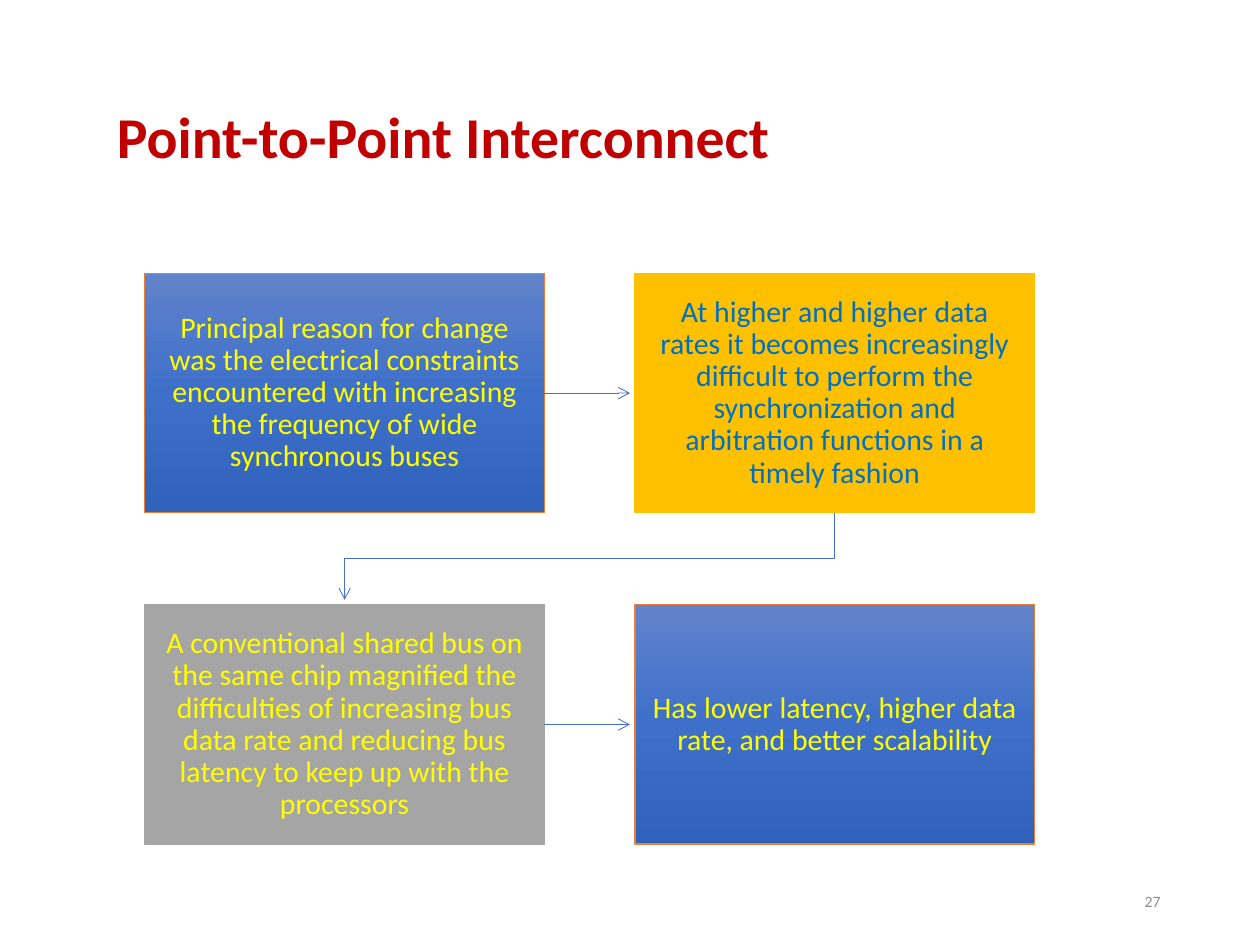
from copy import deepcopy

from pptx import Presentation
from pptx.dml.color import RGBColor
from pptx.enum.shapes import MSO_CONNECTOR, MSO_SHAPE
from pptx.enum.text import MSO_ANCHOR, PP_ALIGN
from pptx.oxml.ns import qn
from pptx.oxml.xmlchemy import OxmlElement
from pptx.util import Inches, Pt

RECT = MSO_SHAPE.RECTANGLE
STRAIGHT = MSO_CONNECTOR.STRAIGHT
MIDDLE = MSO_ANCHOR.MIDDLE
LEFT, CENTER, RIGHT = PP_ALIGN.LEFT, PP_ALIGN.CENTER, PP_ALIGN.RIGHT

FONT = "Calibri"
COLORS = {
    "title": "C00000", "number": "8C8C8C", "arrow": "4472C4",
    "yellow": "FFFF00", "blue": "0070C0", "orange": "ED7D31",
    "gold": "FFC000", "gray": "A5A5A5",
}
GRADIENT = ["6183CB", "3E70CA", "3062BB"]

BOX_W, BOX_H = 3.17, 1.9
COLS, ROWS = [1.15, 5.04], [2.17, 4.8]
ARROW_GAP = 0.04

# text, fill (None means gradient), line, text colour
STEPS = [
    ("Principal reason for change was the electrical constraints encountered "
     "with increasing the frequency of wide synchronous buses",
     None, "orange", "yellow"),
    ("At higher and higher data rates it becomes increasingly difficult to "
     "perform the synchronization and arbitration functions in a timely fashion",
     "gold", "gold", "blue"),
    ("A conventional shared bus on the same chip magnified the difficulties of "
     "increasing bus data rate and reducing bus latency to keep up with the "
     "processors",
     "gray", "gray", "yellow"),
    ("Has lower latency, higher data rate, and better scalability",
     None, "orange", "yellow"),
]


def rgb(name):
    return RGBColor.from_string(COLORS[name])


def write(sp, text, size, color, align, bold=False, spacing=0.9):
    tf = sp.text_frame
    tf.word_wrap = True
    tf.vertical_anchor = MIDDLE
    tf.text = text
    p = tf.paragraphs[0]
    p.alignment = align
    p.line_spacing = spacing
    font = p.runs[0].font
    font.name, font.size, font.bold = FONT, Pt(size), bold
    font.color.rgb = rgb(color)


def add_label(s, box, *args, **kwargs):
    write(s.shapes.add_textbox(*map(Inches, box)), *args, **kwargs)


def fill_gradient(sp):
    """Fill with three evenly spaced stops, running top to bottom."""
    sp.fill.gradient()
    sp.fill.gradient_angle = 270
    stops = sp._element.spPr.find(".//" + qn("a:gsLst"))
    stops.append(deepcopy(stops[0]))
    for i, (stop, color) in enumerate(zip(sp.fill.gradient_stops, GRADIENT)):
        stop.position = i / 2
        stop.color.rgb = RGBColor.from_string(color)


def add_step(s, box, text, fill, line, color):
    sp = s.shapes.add_shape(RECT, *map(Inches, box))
    sp.shadow.inherit = False
    if fill:
        sp.fill.solid()
        sp.fill.fore_color.rgb = rgb(fill)
    else:
        fill_gradient(sp)
    sp.line.color.rgb = rgb(line)
    sp.line.width = Pt(0.75)
    tf = sp.text_frame
    tf.margin_left = tf.margin_right = Inches(0.13)
    tf.margin_top = tf.margin_bottom = Inches(0.13)
    write(sp, text, 17, color, CENTER)


def style_arrow(sp):
    sp.line.color.rgb = rgb("arrow")
    sp.line.width = Pt(0.5)
    tail = OxmlElement("a:tailEnd")
    tail.set("type", "arrow")
    sp.line._get_or_add_ln().append(tail)
    sp._element.spPr.append(OxmlElement("a:effectLst"))


def add_row_arrow(s, top):
    y = Inches(top + BOX_H / 2)
    style_arrow(s.shapes.add_connector(
        STRAIGHT, Inches(COLS[0] + BOX_W), y, Inches(COLS[1] - ARROW_GAP), y))


def add_return_arrow(s):
    """Lead from the end of the first row to the start of the second."""
    x1, x2 = (Inches(x + BOX_W / 2) for x in reversed(COLS))
    bottom = ROWS[0] + BOX_H
    middle = Inches((bottom + ROWS[1]) / 2)
    builder = s.shapes.build_freeform(x1, Inches(bottom))
    builder.add_line_segments(
        [(x1, middle), (x2, middle), (x2, Inches(ROWS[1] - ARROW_GAP))],
        close=False)
    sp = builder.convert_to_shape()
    sp.fill.background()
    style_arrow(sp)


def add_flow(s):
    boxes = [(x, y, BOX_W, BOX_H) for y in ROWS for x in COLS]
    for box, step in zip(boxes, STEPS):
        add_step(s, box, *step)
    for top in ROWS:
        add_row_arrow(s, top)
    add_return_arrow(s)


def main():
    prs = Presentation()
    prs.slide_width, prs.slide_height = Inches(10), Inches(7.5)
    s = prs.slides.add_slide(prs.slide_layouts[6])
    add_label(s, (0.83, 0.5, 8.26, 1.22), "Point-to-Point Interconnect",
              33, "title", LEFT, bold=True)
    add_flow(s)
    add_label(s, (7.06, 6.95, 2.25, 0.4), "27", 9, "number", RIGHT, spacing=1.0)
    prs.save("out.pptx")


if __name__ == "__main__":
    main()
